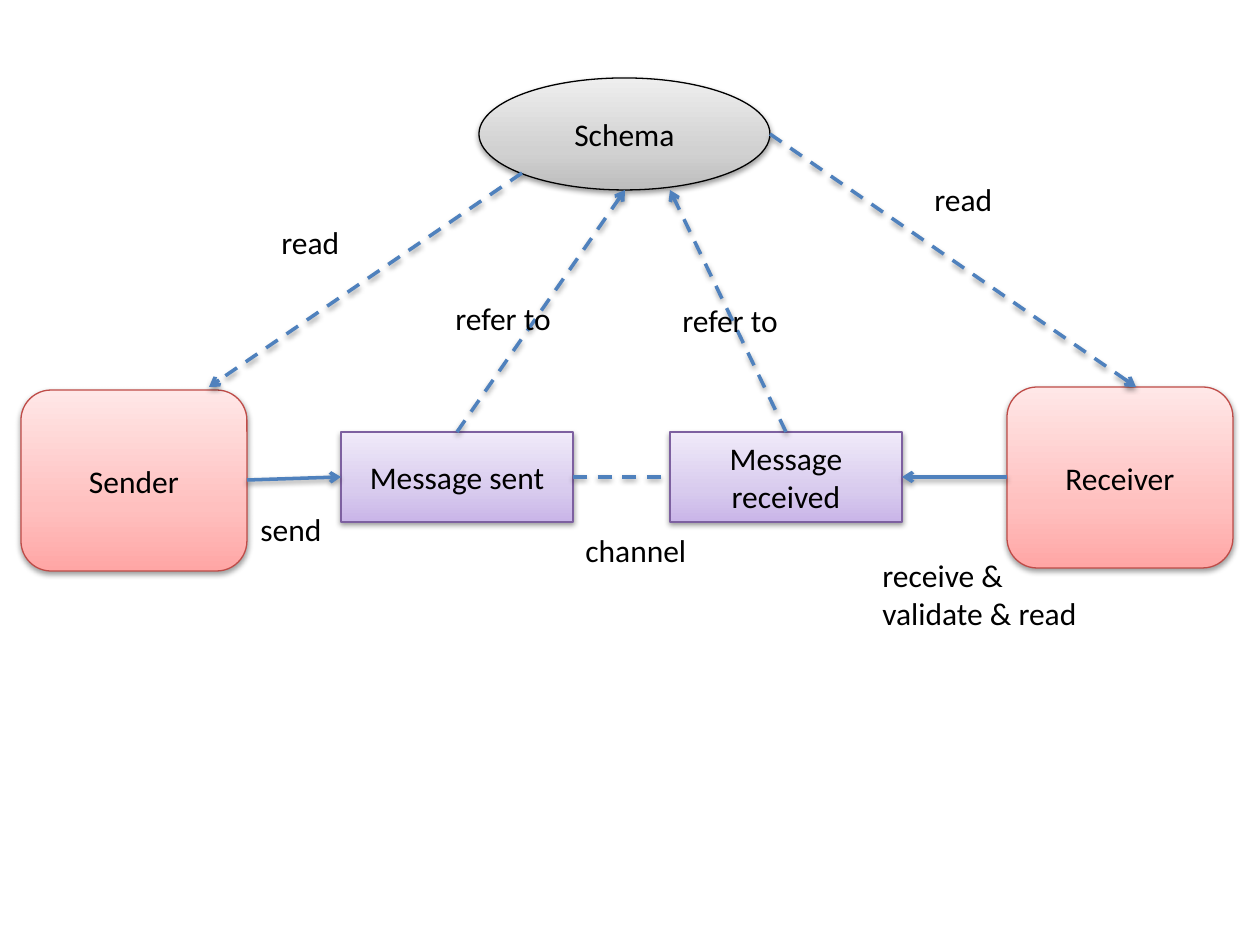
from lxml import etree
from copy import deepcopy
from pptx import Presentation, util as u
from pptx.dml.color import RGBColor
from pptx.enum import shapes, text, dml
from pptx.oxml import ns

SCALE = 914400 / 126
KIND = shapes.MSO_SHAPE


def px(*vals):
    return [u.Emu(round(v * SCALE)) for v in vals]


def paint(code):
    return RGBColor.from_string(code)


def write(frame, words, size=18, font="Calibri", color="000000", align=text.PP_ALIGN.LEFT):
    for i, line in enumerate(words.split("\n")):
        para = frame.add_paragraph() if i else frame.paragraphs[0]
        para.alignment = align
        run = para.add_run()
        run.text = line
        run.font.size = u.Pt(size)
        run.font.name = font
        run.font.color.rgb = paint(color)


def add(node, tag, **attrs):
    return etree.SubElement(node, ns.qn(tag), **attrs)


class Board:
    line = "4F81BD"
    stops = (0, 0.35, 1)

    def __init__(self, slide):
        self.slide = slide

    def shade(self, node):
        shadow = add(node, "a:outerShdw", blurRad="40000", dist="20000",
                     dir="5400000", rotWithShape="0")
        add(add(shadow, "a:srgbClr", val="000000"), "a:alpha", val="38000")

    def blend(self, shape, colors):
        shape.fill.gradient()
        shape.fill.gradient_angle = 90
        first = shape._element.spPr.find(".//" + ns.qn("a:gs"))
        first.addnext(deepcopy(first))
        for stop, pos, color in zip(shape.fill.gradient_stops, self.stops, colors):
            stop.position = pos
            stop.color.rgb = paint(color)

    def node(self, kind, words, box, colors, edge):
        shape = self.slide.shapes.add_shape(kind, *px(*box))
        self.blend(shape, colors)
        shape.line.color.rgb = paint(edge)
        shape.line.width = u.Pt(0.75)
        shape.shadow.inherit = False
        self.shade(shape._element.spPr.find(ns.qn("a:effectLst")))
        frame = shape.text_frame
        frame.word_wrap = True
        frame.vertical_anchor = text.MSO_ANCHOR.MIDDLE
        write(frame, words, align=text.PP_ALIGN.CENTER)

    def link(self, start, end, dash=True, arrow=True):
        wire = self.slide.shapes.add_connector(
            shapes.MSO_CONNECTOR.STRAIGHT, *px(*start, *end))
        wire.line.color.rgb = paint(self.line)
        wire.line.width = u.Pt(2)
        if dash:
            wire.line.dash_style = dml.MSO_LINE.DASH
        prop = wire._element.spPr
        if arrow:
            add(prop.find(ns.qn("a:ln")), "a:tailEnd", type="arrow")
        self.shade(add(prop, "a:effectLst"))

    def label(self, words, box):
        frame = self.slide.shapes.add_textbox(*px(*box)).text_frame
        frame.word_wrap = False
        frame.auto_size = text.MSO_AUTO_SIZE.SHAPE_TO_FIT_TEXT
        write(frame, words)


deck = Presentation()
deck.slide_width, deck.slide_height = px(1260, 945)
board = Board(deck.slides.add_slide(deck.slide_layouts[6]))

red = ("FFA6A5", "FFC0BF", "FFE7E7"), "BF4C48"
violet = ("C9B5E8", "D8CBEE", "F0EAF9"), "7D60A0"
gray = ("BDBDBD", "D1D1D1", "EEEEEE"), "000000"

for words, x, y in (("Sender", 21, 390), ("Receiver", 1007, 387)):
    board.node(KIND.ROUNDED_RECTANGLE, words, (x, y, 226, 181), *red)
for words, x in (("Message sent", 341), ("Message received", 670)):
    board.node(KIND.RECTANGLE, words, (x, 432, 232, 90), *violet)
board.node(KIND.OVAL, "Schema", (479, 78, 291, 112), *gray)

board.link((247, 480), (341, 477), dash=False)
board.link((573, 477), (670, 477), arrow=False)
board.link((1007, 477), (902, 477), dash=False)
for start, end in (
    ((522, 173), (209, 387)),
    ((457, 432), (625, 190)),
    ((786, 432), (670, 190)),
    ((770, 134), (1136, 387)),
):
    board.link(start, end)

for words, box in (
    ("send", (248, 504, 87, 50)),
    ("receive &\nvalidate & read", (870, 550, 223, 89)),
    ("channel", (573, 525, 127, 50)),
    ("read", (269, 217, 84, 50)),
    ("read", (922, 174, 84, 50)),
    ("refer to", (443, 293, 123, 50)),
    ("refer to", (670, 295, 123, 50)),
):
    board.label(words, box)

deck.save("out.pptx")
